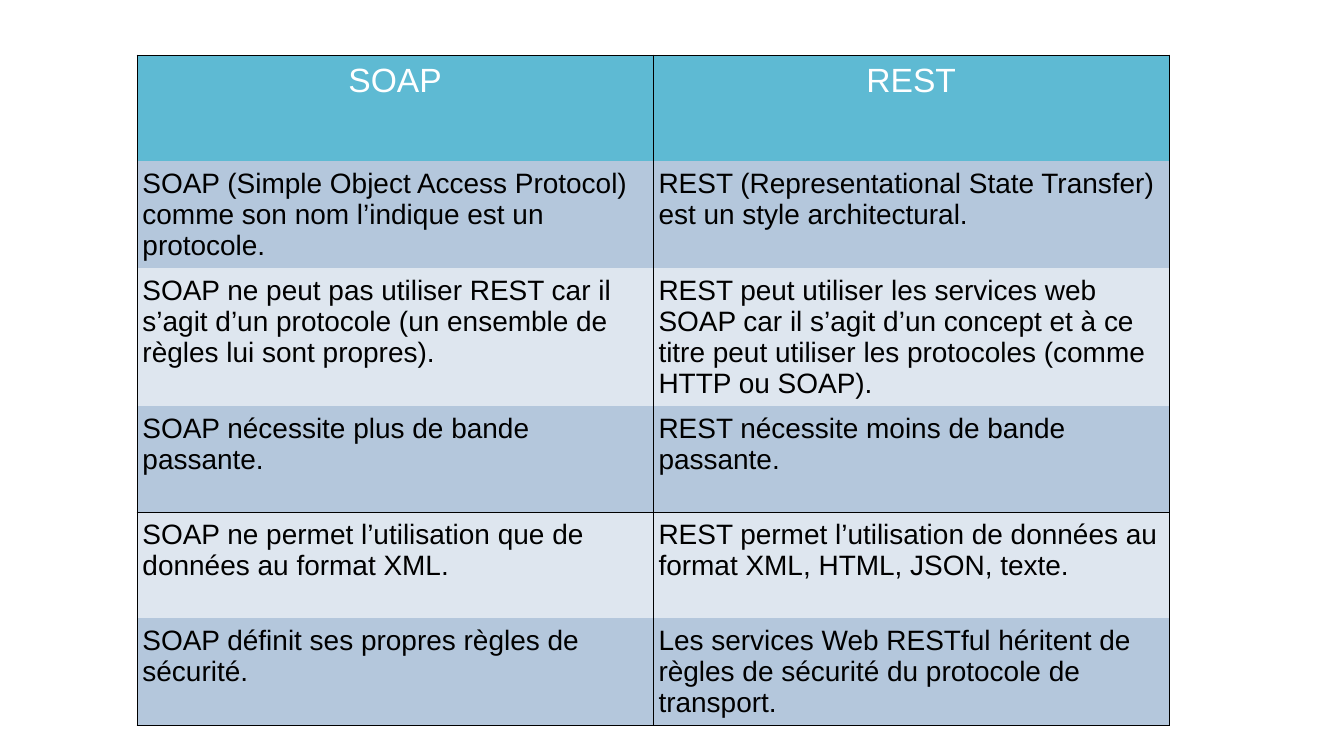
from dataclasses import dataclass

from lxml import etree
from pptx import Presentation
from pptx.dml.color import RGBColor
from pptx.enum import text
from pptx.oxml import ns
from pptx.util import Inches, Pt


@dataclass(frozen=True)
class Theme:
    font: str = "Arial"
    head_size: float = 18
    body_size: float = 15
    head_text: str = "FFFFFF"
    body_text: str = "000000"
    head_fill: str = "5EBAD3"
    bands: tuple = ("B4C7DC", "DEE6EF")
    line: str = "000000"
    line_width: float = 0.57


THEME = Theme()
WIDTH = Inches(10)
HEIGHT = WIDTH * 9 // 16
RULED_ROWS = {0, 4}  # rows with a line above them

ROWS = [
    ("SOAP", "REST"),
    ("SOAP (Simple Object Access Protocol) comme son nom l’indique est un protocole.",
     "REST (Representational State Transfer) est un style architectural."),
    ("SOAP ne peut pas utiliser REST car il s’agit d’un protocole "
     "(un ensemble de règles lui sont propres).",
     "REST peut utiliser les services web SOAP car il s’agit d’un concept et à ce "
     "titre peut utiliser les protocoles (comme HTTP ou SOAP)."),
    ("SOAP nécessite plus de bande passante.",
     "REST nécessite moins de bande passante."),
    ("SOAP ne permet l’utilisation que de données au format XML.",
     "REST permet l’utilisation de données au format XML, HTML, JSON, texte."),
    ("SOAP définit ses propres règles de sécurité.",
     "Les services Web RESTful héritent de règles de sécurité du protocole de transport."),
]


def set_borders(cell, sides):
    """Draw the given sides (letters of LRTB) and clear the others."""
    props = cell._tc.get_or_add_tcPr()
    for i, side in enumerate("LRTB"):
        ln = etree.Element(ns.qn(f"a:ln{side}"), w=str(Pt(THEME.line_width)))
        if side in sides:
            fill = etree.SubElement(ln, ns.qn("a:solidFill"))
            etree.SubElement(fill, ns.qn("a:srgbClr"), val=THEME.line)
        else:
            etree.SubElement(ln, ns.qn("a:noFill"))
        props.insert(i, ln)  # lines come before the fill


def format_cell(cell, words, row):
    head = row == 0
    cell.margin_left = cell.margin_right = Inches(0.04)
    cell.margin_top = cell.margin_bottom = Inches(0.05)
    cell.fill.solid()
    cell.fill.fore_color.rgb = RGBColor.from_string(
        THEME.head_fill if head else THEME.bands[(row - 1) % 2])

    p = cell.text_frame.paragraphs[0]
    p.text = words
    p.alignment = text.PP_ALIGN.CENTER if head else text.PP_ALIGN.LEFT
    font = p.runs[0].font
    font.name = THEME.font
    font.bold = False
    font.size = Pt(THEME.head_size if head else THEME.body_size)
    font.color.rgb = RGBColor.from_string(THEME.head_text if head else THEME.body_text)


def add_comparison(slide, rows, left, top, width, row_height):
    table = slide.shapes.add_table(
        len(rows), len(rows[0]), left, top, width, row_height * len(rows)).table
    for r, row in enumerate(rows):
        table.rows[r].height = row_height
        sides = "LR"
        if r in RULED_ROWS:
            sides += "T"
        if r + 1 in RULED_ROWS | {len(rows)}:
            sides += "B"
        for c, words in enumerate(row):
            cell = table.cell(r, c)
            format_cell(cell, words, r)
            set_borders(cell, sides)


def main():
    prs = Presentation()
    prs.slide_width, prs.slide_height = WIDTH, HEIGHT
    slide = prs.slides.add_slide(prs.slide_layouts[6])

    # Comparison table; rows grow where their text needs it
    add_comparison(slide, ROWS, Inches(1.02), Inches(0.41), Inches(7.68), Inches(0.79))
    prs.save("out.pptx")


if __name__ == "__main__":
    main()
